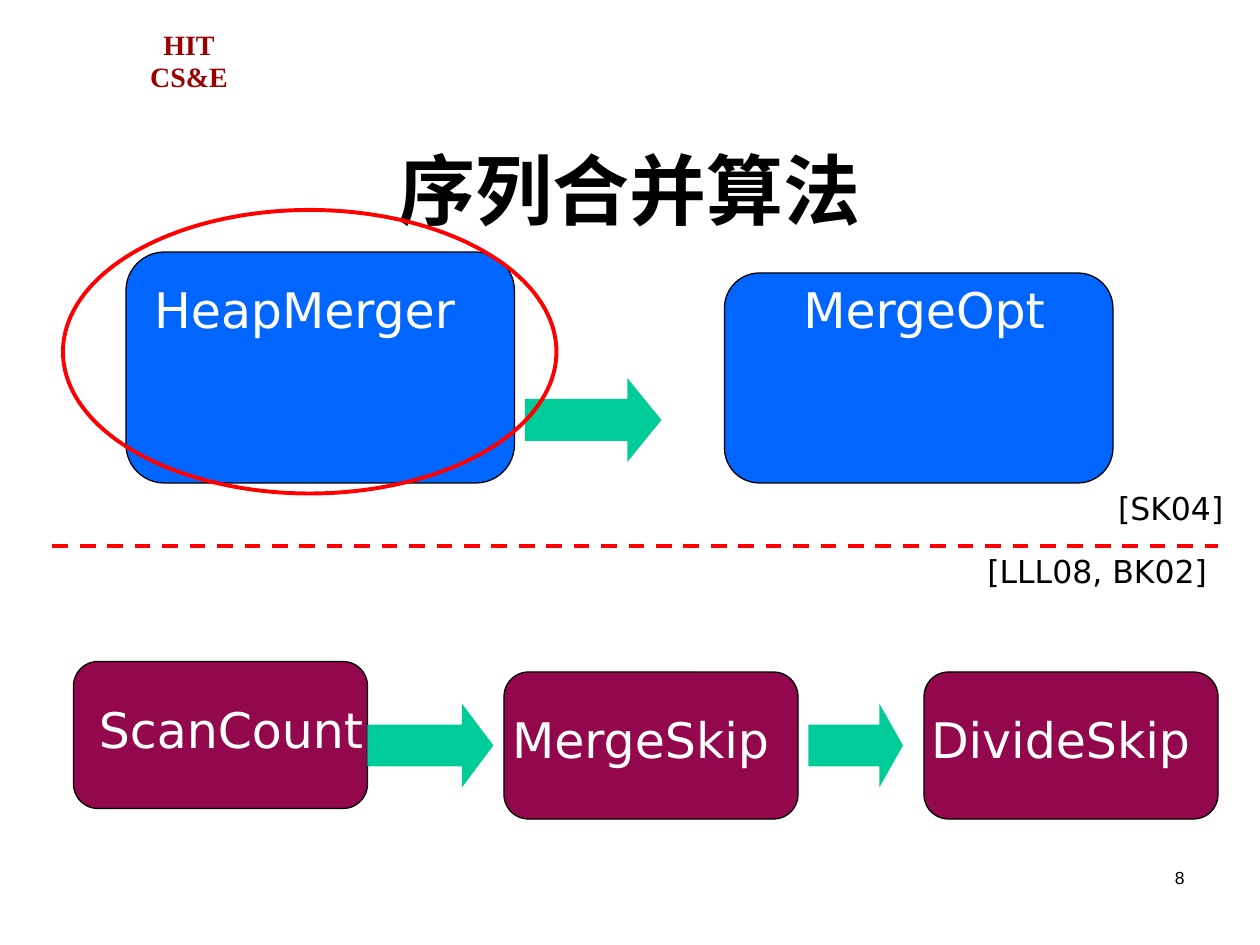
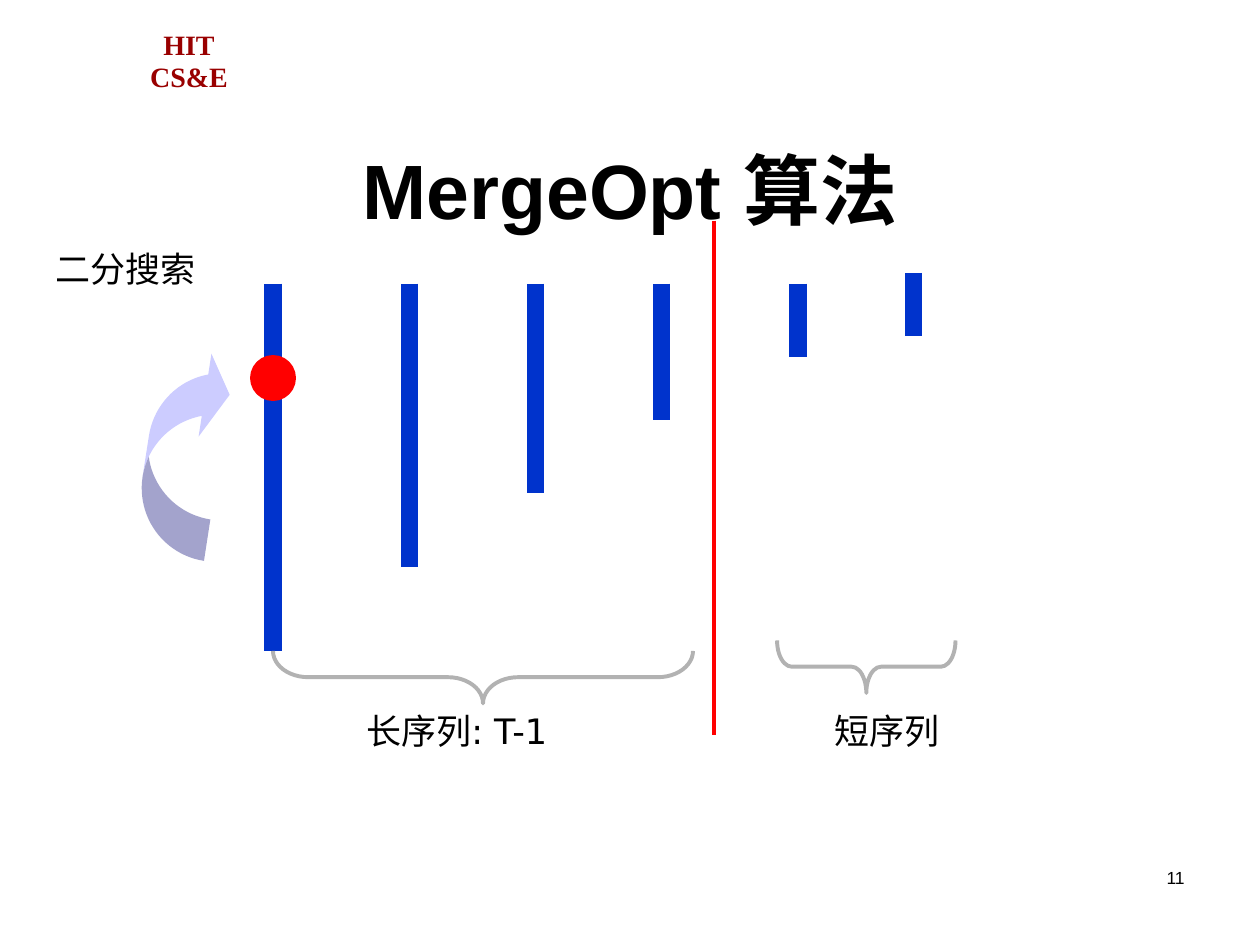
"""Build two slides on sequence merging algorithms, laid out on a 120 by 90 grid."""
from dataclasses import dataclass

import lxml.etree
import pptx
import pptx.dml.color
import pptx.enum.dml
import pptx.enum.shapes
import pptx.enum.text
import pptx.oxml.ns
import pptx.util

SHAPE = pptx.enum.shapes.MSO_SHAPE
ALIGN = pptx.enum.text.PP_ALIGN
ANCHOR = pptx.enum.text.MSO_ANCHOR


@dataclass(frozen=True)
class Theme:
    """Colours, fonts and type sizes shared by the slides."""
    ink: str = "000000"
    paper: str = "FFFFFF"
    crest: str = "990000"
    early: str = "0066FF"
    late: str = "93074D"
    arrow: str = "00CC99"
    accent: str = "FF0000"
    bar: str = "0033CC"
    brace: str = "B2B2B2"
    swoop: str = "CCCCFF"
    heading_font: str = "Arial"
    body_font: str = "DejaVu Sans"
    crest_font: str = "Times New Roman"
    title_size: int = 44
    box_size: int = 28
    label_size: int = 20
    citation_size: int = 18
    crest_size: int = 16
    number_size: int = 10
    thin: float = 0.75
    medium: float = 2.25
    thick: float = 10


THEME = Theme()
COLUMNS, ROWS = 120, 90
WIDTH, HEIGHT = pptx.util.Inches(10), pptx.util.Inches(7.5)

CREST = ("HIT\vCS&E", (12, 2.25, 12, 7.25))
TITLE_AREA = (9, 8, 102, 15)
NUMBER_AREA = (86, 82, 28, 6)

ALGORITHMS = [
    ("HeapMerger", THEME.early, (12, 24, 37, 22), (13, 26, 32, 7)),
    ("MergeOpt", THEME.early, (69, 26, 37, 20), (69, 26, 38, 7)),
    ("ScanCount", THEME.late, (7, 63, 28, 14), (6, 66, 32, 7)),
    ("MergeSkip", THEME.late, (48, 64, 28, 14), (45, 67, 32, 7)),
    ("DivideSkip", THEME.late, (88, 64, 28, 14), (85, 67, 32, 7)),
]
STEP_ARROWS = [(50, 36, 13, 8), (35, 67, 12, 8), (77, 67, 9, 8)]
HIGHLIGHT = (6, 20, 47, 27)
ERA_LINE = ((5, 52), (116, 52))
CITATIONS = [("[SK04]", (103, 46, 17, 5)), ("[LLL08, BK02]", (89, 52, 31, 5))]

SEQUENCES = [(26, 27, 62), (39, 27, 54), (51, 27, 47), (63, 27, 40), (76, 27, 34), (87, 26, 32)]
PROBE = (24, 34, 4, 4)
LENGTH_LINE = ((68, 21), (68, 70))
BRACES = [((26, 62, 40, 5), 0.67), ((74, 61, 17, 5), 0.28)]
SEARCH_ARROW = (7.5, 39.5, 20, 7)
LABELS = [
    ("二分搜索", (0, 23, 24, 5)),
    ("长序列: T-1", (21, 67, 45, 5)),
    ("短序列", (62, 67, 45, 5)),
]


def across(columns):
    return round(WIDTH * columns / COLUMNS)


def down(rows):
    return round(HEIGHT * rows / ROWS)


def place(area):
    left, top, width, height = area
    return across(left), down(top), across(width), down(height)


def colour(value):
    return pptx.dml.color.RGBColor.from_string(value)


def stroke(line, value, weight):
    line.color.rgb = colour(value)
    line.width = pptx.util.Pt(weight)


def add_text(page, text, area, size, font=THEME.body_font, ink=THEME.ink, bold=False,
             align=ALIGN.CENTER, anchor=ANCHOR.TOP, spacing=None):
    frame = page.shapes.add_textbox(*place(area)).text_frame
    frame.word_wrap = True
    frame.vertical_anchor = anchor
    frame.text = text
    para = frame.paragraphs[0]
    para.alignment = align
    para.line_spacing = spacing
    for span in para.runs:
        span.font.name = font
        span.font.size = pptx.util.Pt(size)
        span.font.bold = bold
        span.font.color.rgb = colour(ink)


def add_figure(page, kind, area, fill=None, line=None, weight=THEME.medium, adjust=(), turn=0):
    figure = page.shapes.add_shape(kind, *place(area))
    figure.shadow.inherit = False
    figure.rotation = turn
    for index, value in enumerate(adjust):
        figure.adjustments[index] = value
    if fill:
        figure.fill.solid()
        figure.fill.fore_color.rgb = colour(fill)
    else:
        figure.fill.background()
    if line:
        stroke(figure.line, line, weight)
    else:
        figure.line.fill.background()


def add_line(page, start, end, value, weight=THEME.medium):
    connector = page.shapes.add_connector(
        pptx.enum.shapes.MSO_CONNECTOR.STRAIGHT,
        across(start[0]), down(start[1]), across(end[0]), down(end[1]))
    stroke(connector.line, value, weight)
    lxml.etree.SubElement(connector._element.spPr, pptx.oxml.ns.qn("a:effectLst"))
    return connector


def add_brace(page, area, curl):
    left, top, span, depth = area
    upright = (left + (span - depth) / 2, top + (depth - span) / 2, depth, span)
    add_figure(page, SHAPE.RIGHT_BRACE, upright, line=THEME.brace, adjust=(curl, 0.5), turn=90)


def add_page(deck, title, number):
    page = deck.slides.add_slide(deck.slide_layouts[6])
    page.background.fill.solid()
    page.background.fill.fore_color.rgb = colour(THEME.paper)
    add_text(page, *CREST, THEME.crest_size, THEME.crest_font, THEME.crest, True,
             anchor=ANCHOR.MIDDLE, spacing=0.95)
    add_text(page, title, TITLE_AREA, THEME.title_size, THEME.heading_font, bold=True,
             anchor=ANCHOR.BOTTOM)
    add_text(page, str(number), NUMBER_AREA, THEME.number_size, THEME.heading_font,
             align=ALIGN.RIGHT)
    return page


def build_overview(deck):
    page = add_page(deck, "序列合并算法", 8)
    for name, fill, box, caption in ALGORITHMS:
        add_figure(page, SHAPE.FLOWCHART_ALTERNATE_PROCESS, box, fill, THEME.ink, THEME.thin)
        add_text(page, name, caption, THEME.box_size, ink=THEME.paper)
    for area in STEP_ARROWS:
        head = area[2] / area[3] / 4
        add_figure(page, SHAPE.RIGHT_ARROW, area, THEME.arrow, adjust=(0.5, head))
    add_figure(page, SHAPE.OVAL, HIGHLIGHT, line=THEME.accent)
    era_line = add_line(page, *ERA_LINE, THEME.accent)
    era_line.line.dash_style = pptx.enum.dml.MSO_LINE.DASH
    for text, area in CITATIONS:
        add_text(page, text, area, THEME.citation_size)


def build_merge_opt(deck):
    page = add_page(deck, "MergeOpt 算法", 11)
    for column, top, bottom in SEQUENCES:
        add_line(page, (column, top), (column, bottom), THEME.bar, THEME.thick)
    add_figure(page, SHAPE.OVAL, PROBE, THEME.accent, THEME.accent)
    add_line(page, *LENGTH_LINE, THEME.accent)
    for area, curl in BRACES:
        add_brace(page, area, curl)
    add_figure(page, SHAPE.CURVED_DOWN_ARROW, SEARCH_ARROW, THEME.swoop,
               adjust=(0.57, 1.14, 0.33), turn=278.8)
    for text, area in LABELS:
        add_text(page, text, area, THEME.label_size)


def main():
    deck = pptx.Presentation()
    deck.slide_width, deck.slide_height = WIDTH, HEIGHT
    build_overview(deck)
    build_merge_opt(deck)
    deck.save("out.pptx")


if __name__ == "__main__":
    main()
